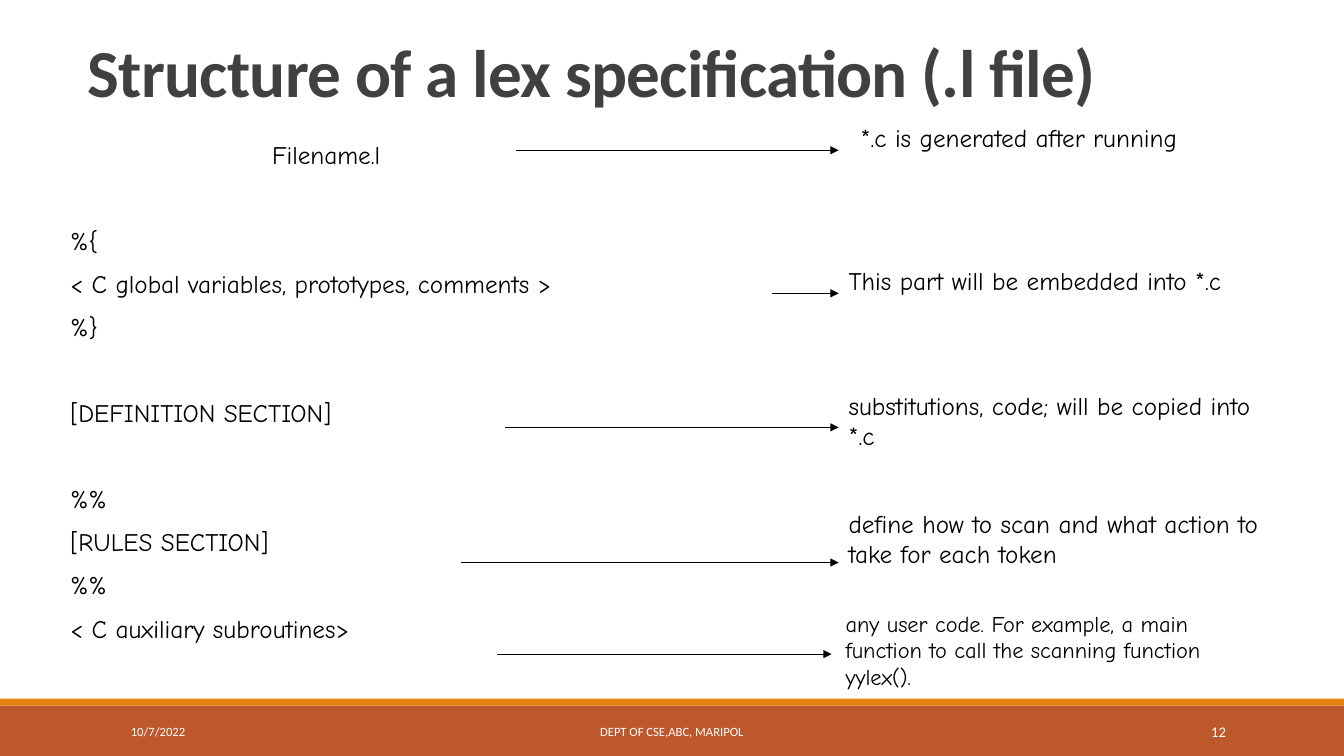
from lxml import etree
from pptx import Presentation, util as u
from pptx.dml.color import RGBColor
from pptx.enum import shapes, text
from pptx.oxml.ns import qn

BODY_FONT, PLAIN_FONT = "Comic Neue", "Calibri"
BLACK, WHITE, GREY = "000000", "FFFFFF", "404040"
RUST, ORANGE = "BD582C", "E48312"
LEFT, CENTER, RIGHT = text.PP_ALIGN.LEFT, text.PP_ALIGN.CENTER, text.PP_ALIGN.RIGHT
TOP, MIDDLE, BOTTOM = text.MSO_ANCHOR.TOP, text.MSO_ANCHOR.MIDDLE, text.MSO_ANCHOR.BOTTOM
LINE_GAP, SECTION_GAP = 9.2, 39.9


def color(value):
    return RGBColor.from_string(value)


class Slide:
    def __init__(self, deck):
        self.deck = deck
        self.page = deck.slides.add_slide(deck.slide_layouts[6])

    def x(self, percent):
        return round(self.deck.slide_width * percent / 100)

    def y(self, percent):
        return round(self.deck.slide_height * percent / 100)

    def area(self, left, top, width, height):
        return self.x(left), self.y(top), self.x(width), self.y(height)

    def band(self, top, height, fill):
        bar = self.page.shapes.add_shape(
            shapes.MSO_SHAPE.RECTANGLE, *self.area(0, top, 100, height))
        bar.shadow.inherit = False
        bar.fill.solid()
        bar.fill.fore_color.rgb = color(fill)
        bar.line.fill.background()

    def words(self, area, lines, size=18, font=BODY_FONT, ink=BLACK,
              align=LEFT, anchor=TOP, bold=False):
        box = self.page.shapes.add_textbox(*self.area(*area))
        frame = box.text_frame
        frame.word_wrap = True
        frame.vertical_anchor = anchor
        for index, (content, gap) in enumerate(lines):
            para = frame.paragraphs[0] if index == 0 else frame.add_paragraph()
            para.add_run().text = content
            para.alignment = align
            para.space_before = u.Pt(gap)
            para.font.size = u.Pt(size)
            para.font.name = font
            para.font.bold = bold
            para.font.color.rgb = color(ink)
        return frame.paragraphs

    def title(self, area, content):
        para = self.words(area, [(content, 0)], 48, PLAIN_FONT, GREY,
                          anchor=BOTTOM, bold=True)[0]
        para.line_spacing = 0.85
        para.runs[0].font._element.set("spc", "-50")

    def arrow(self, start, end, level):
        line = self.page.shapes.add_connector(
            shapes.MSO_CONNECTOR.STRAIGHT,
            self.x(start), self.y(level), self.x(end), self.y(level))
        line.line.color.rgb = color(BLACK)
        line.line.width = u.Pt(0.75)
        etree.SubElement(line.line._get_or_add_ln(), qn("a:tailEnd"), type="triangle")
        etree.SubElement(line._element.spPr, qn("a:effectLst"))


FOOTER = [
    (9, 20.25, "10/7/2022", 9, LEFT),
    (30.22, 39.53, "DEPT OF CSE,ABC, MARIPOL", 9, CENTER),
    (81.22, 10.73, "12", 10.5, RIGHT),
]
LEX_FILE = [
    ("Filename.l", 0),
    ("%{", SECTION_GAP),
    ("< C global variables, prototypes, comments >", LINE_GAP),
    ("%}", LINE_GAP),
    ("[DEFINITION SECTION]", SECTION_GAP),
    ("%%", SECTION_GAP),
    ("[RULES SECTION]", LINE_GAP),
    ("%%", LINE_GAP),
    ("< C auxiliary subroutines>", LINE_GAP),
]
NOTES = [
    ((63.3, 15.47, 31.5, 9.33), "*.c is generated after running", 18,
     (38.4, 62.4, 19.87)),
    ((62.4, 34.4, 31.5, 9.33), "This part will be embedded into *.c", 18,
     (57.45, 62.4, 38.8)),
    ((62.4, 50.93, 31.5, 9.47), "substitutions, code; will be copied into *.c", 18,
     (37.58, 62.4, 56.53)),
    ((62.4, 66.53, 33.15, 13.33),
     "define how to scan and what action to take for each token", 18,
     (34.28, 62.4, 74.4)),
    ((62.18, 80, 33.15, 12),
     "any user code. For example, a main function to call the scanning function yylex().",
     16, (36.98, 61.88, 86.53)),
]


def main():
    deck = Presentation()
    deck.slide_width, deck.slide_height = u.Inches(13.33), u.Inches(7.5)
    slide = Slide(deck)
    slide.band(93.33, 6.67, RUST)
    slide.band(92.4, 0.93, ORANGE)
    for left, width, content, size, align in FOOTER:
        slide.words((left, 94.13, width, 5.33), [(content, 0)], size,
                    PLAIN_FONT, WHITE, align, MIDDLE)
    slide.title((5.78, 4.27, 94.2, 11.07), "Structure of a lex specification (.l file)")
    filename = slide.words((4.5, 17.73, 52.2, 72), LEX_FILE)[0]
    filename._p.get_or_add_pPr().set("marL", str(u.Inches(2)))
    for area, content, size, arrow in NOTES:
        slide.words(area, [(content, 0)], size)
        slide.arrow(*arrow)
    deck.save("out.pptx")


if __name__ == "__main__":
    main()
